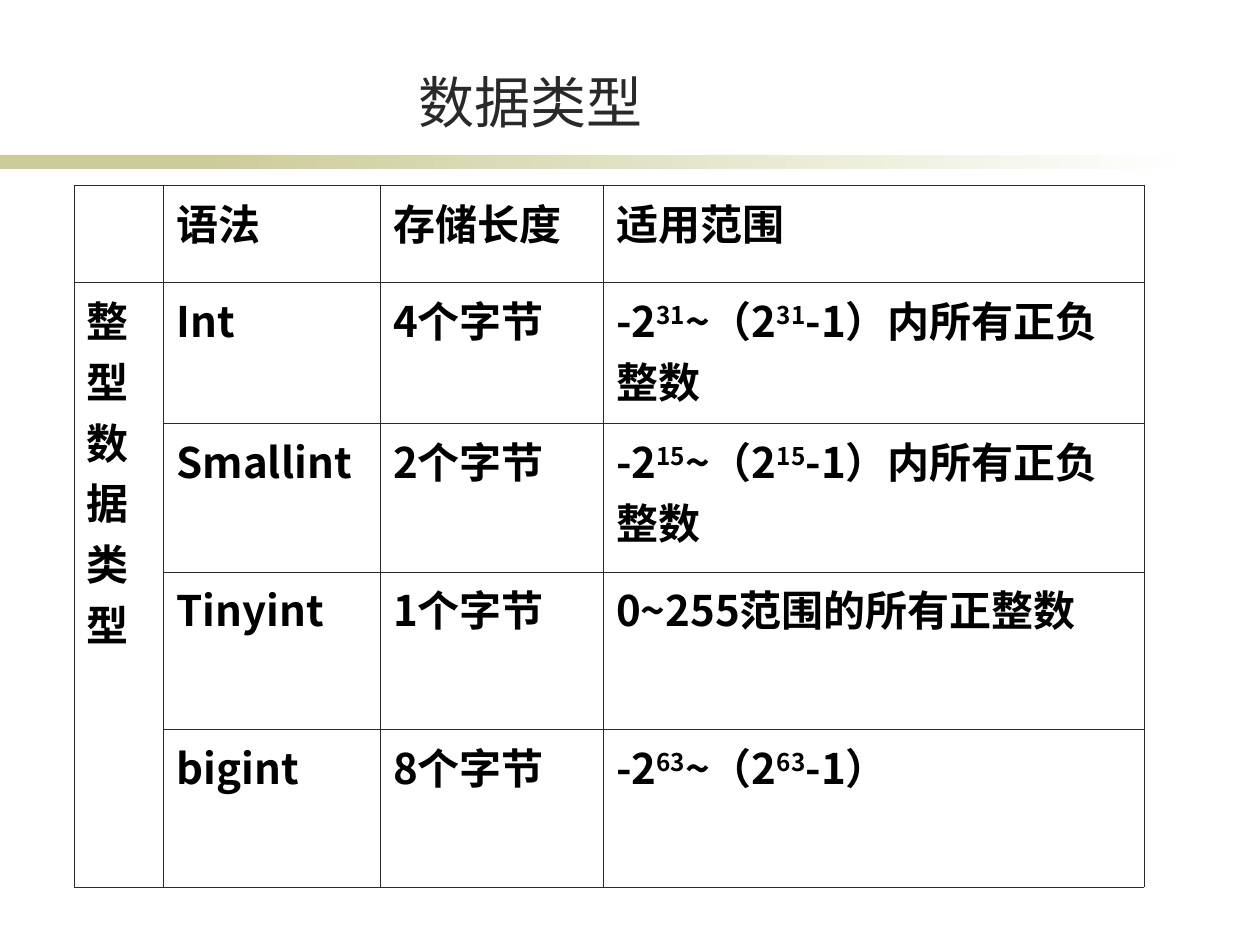
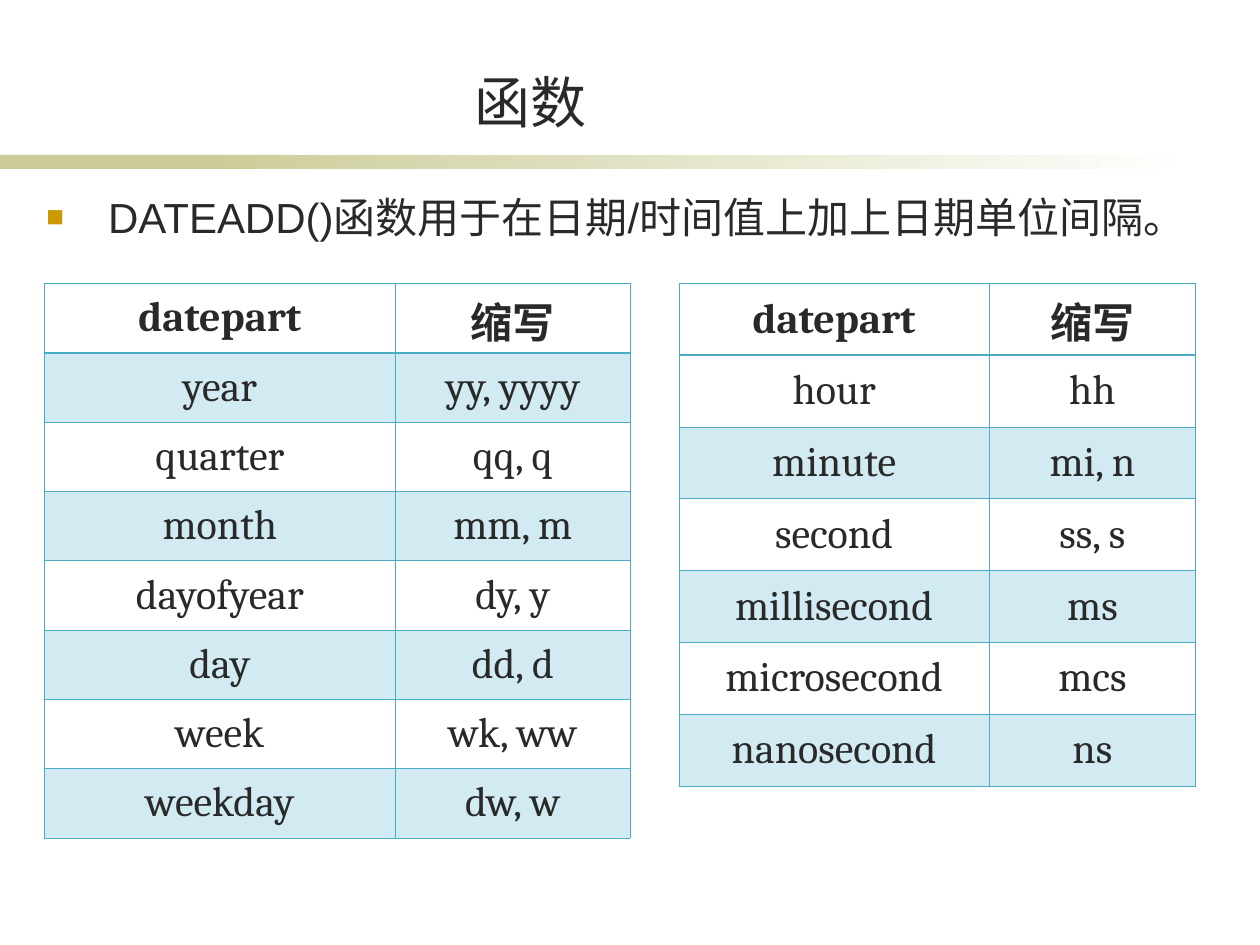
from dataclasses import dataclass

from lxml import etree
from pptx import Presentation
from pptx.dml.color import RGBColor
from pptx.enum import shapes, text
from pptx.oxml import ns
from pptx.util import Inches, Pt

OLIVE = RGBColor(0xCC, 0xCC, 0x99)
WHITE = RGBColor(0xFF, 0xFF, 0xFF)
BLACK = RGBColor(0x00, 0x00, 0x00)
INK = RGBColor(0x29, 0x29, 0x29)
GOLD = RGBColor(0xCC, 0x99, 0x00)
TEAL = RGBColor(0x4B, 0xAC, 0xC6)
PALE_BLUE = RGBColor(0xD2, 0xEA, 0xF1)
CJK_FONT = "Noto Sans CJK SC"
THIN, THICK = 0.45, 1.08


@dataclass(frozen=True)
class TextStyle:
    font: str
    size: float
    color: RGBColor = INK
    bold: bool = False


@dataclass(frozen=True)
class Piece:
    words: str
    raised: bool = False


@dataclass(frozen=True)
class DatepartTable:
    left: float
    widths: tuple[float, float]
    row_height: float
    first_shaded_row: int
    entries: tuple[tuple[str, str], ...]


TITLE = TextStyle("Arial", 32)
BODY = TextStyle("Arial", 24)
TYPE_CELL = TextStyle(CJK_FONT, 24, BLACK, True)
DATEPART_HEADERS = (
    ("datepart", TextStyle("Cambria", 24, bold=True)),
    ("缩写", TextStyle("Calibri", 24, bold=True)),
)
DATEPART_CELL = TextStyle("Cambria", 24)

TYPE_WIDTHS = (0.71, 1.72, 1.77, 4.29)
TYPE_HEIGHTS = (0.77, 1.12, 1.18, 1.25, 1.25)
DATEPART_TABLES = (
    DatepartTable(0.35, (2.79, 1.86), 0.55, 1, (
        ("year", "yy, yyyy"),
        ("quarter", "qq, q"),
        ("month", "mm, m"),
        ("dayofyear", "dy, y"),
        ("day", "dd, d"),
        ("week", "wk, ww"),
        ("weekday", "dw, w"),
    )),
    DatepartTable(5.39, (2.46, 1.64), 0.57, 2, (
        ("hour", "hh"),
        ("minute", "mi, n"),
        ("second", "ss, s"),
        ("millisecond", "ms"),
        ("microsecond", "mcs"),
        ("nanosecond", "ns"),
    )),
)


def plain(words: str) -> list[Piece]:
    return [Piece(words)]


def power_range(exponent: str, ending: str = "") -> list[Piece]:
    power = Piece(exponent, True)
    return [Piece("-2"), power, Piece("~（2"), power, Piece(f"-1）{ending}")]


TYPE_ROWS = (
    ("", "语法", "存储长度", plain("适用范围")),
    ("整型数据类型", "Int", "4个字节", power_range("31", "内所有正负整数")),
    ("", "Smallint", "2个字节", power_range("15", "内所有正负整数")),
    ("", "Tinyint", "1个字节", plain("0~255范围的所有正整数")),
    ("", "bigint", "8个字节", power_range("63")),
)


def add_runs(paragraph, pieces: list[Piece], style: TextStyle) -> None:
    for piece in pieces:
        run = paragraph.add_run()
        run.text = piece.words
        run.font.size = Pt(style.size)
        run.font.bold = style.bold
        run.font.color.rgb = style.color
        run.font.name = style.font
        properties = run.font._element
        etree.SubElement(properties, ns.qn("a:ea"), typeface=CJK_FONT)
        if piece.raised:
            properties.set("baseline", "30000")


def add_text_box(slide, left: float, top: float, width: float, height: float):
    box = slide.shapes.add_textbox(
        Inches(left), Inches(top), Inches(width), Inches(height))
    box.text_frame.word_wrap = True
    return box.text_frame


def add_band(slide, left: float, width: float):
    band = slide.shapes.add_shape(
        shapes.MSO_SHAPE.RECTANGLE,
        Inches(left), Inches(1.23), Inches(width), Inches(0.11))
    band.shadow.inherit = False
    band.line.fill.background()
    return band.fill


def add_titled_slide(presentation, title: str):
    slide = presentation.slides.add_slide(presentation.slide_layouts[6])
    solid = add_band(slide, 0, 2.33)
    solid.solid()
    solid.fore_color.rgb = OLIVE
    fade = add_band(slide, 1.58, 7.92)
    fade.gradient()
    fade.gradient_angle = 0
    for stop, color in zip(fade.gradient_stops, (OLIVE, WHITE)):
        stop.color.rgb = color

    frame = add_text_box(slide, 1.14, 0.44, 6.14, 0.63)
    frame.margin_top = frame.margin_bottom = Inches(0)
    frame.vertical_anchor = text.MSO_ANCHOR.BOTTOM
    paragraph = frame.paragraphs[0]
    paragraph.alignment = text.PP_ALIGN.CENTER
    add_runs(paragraph, plain(title), TITLE)
    return slide


def add_bullet(paragraph) -> None:
    properties = paragraph._p.get_or_add_pPr()
    indent = Inches(0.49)
    properties.set("marL", str(indent))
    properties.set("indent", str(-indent))
    color = etree.SubElement(properties, ns.qn("a:buClr"))
    etree.SubElement(color, ns.qn("a:srgbClr"), val=str(GOLD))
    etree.SubElement(properties, ns.qn("a:buSzPct"), val="70000")
    etree.SubElement(properties, ns.qn("a:buFont"), typeface="Arial")
    etree.SubElement(properties, ns.qn("a:buChar"), char="■")


def add_plain_table(slide, left: float, top: float,
                    widths: tuple[float, ...], heights: tuple[float, ...]):
    table = slide.shapes.add_table(
        len(heights), len(widths), Inches(left), Inches(top),
        Inches(sum(widths)), Inches(sum(heights))).table
    table.first_row = table.horz_banding = False
    for column, width in zip(table.columns, widths):
        column.width = Inches(width)
    for row, height in zip(table.rows, heights):
        row.height = Inches(height)
    return table


def set_borders(cell, color: RGBColor, top: float = THIN,
                bottom: float = THIN) -> None:
    properties = cell._tc.get_or_add_tcPr()
    for side, width in (("L", THIN), ("R", THIN), ("T", top), ("B", bottom)):
        line = etree.SubElement(
            properties, ns.qn(f"a:ln{side}"), w=str(Pt(width)))
        fill = etree.SubElement(line, ns.qn("a:solidFill"))
        etree.SubElement(fill, ns.qn("a:srgbClr"), val=str(color))


def add_type_table(slide) -> None:
    table = add_plain_table(slide, 0.59, 1.47, TYPE_WIDTHS, TYPE_HEIGHTS)
    table.cell(1, 0).merge(table.cell(4, 0))
    for row, (group, syntax, length, scope) in enumerate(TYPE_ROWS):
        contents = (plain(group), plain(syntax), plain(length), scope)
        for column, pieces in enumerate(contents):
            cell = table.cell(row, column)
            set_borders(cell, INK)
            cell.fill.background()
            if pieces[0].words:
                add_runs(cell.text_frame.paragraphs[0], pieces, TYPE_CELL)


def add_datepart_table(slide, content: DatepartTable) -> None:
    rows = [DATEPART_HEADERS]
    rows += [[(word, DATEPART_CELL) for word in entry]
             for entry in content.entries]
    table = add_plain_table(slide, content.left, 2.25, content.widths,
                            (content.row_height,) * len(rows))
    for row, entries in enumerate(rows):
        shaded = row > 0 and (row - content.first_shaded_row) % 2 == 0
        for column, (words, style) in enumerate(entries):
            cell = table.cell(row, column)
            set_borders(cell, TEAL,
                        top=THICK if row == 1 else THIN,
                        bottom=THICK if row == 0 else THIN)
            cell.fill.solid()
            cell.fill.fore_color.rgb = PALE_BLUE if shaded else WHITE
            cell.margin_left = cell.margin_right = Inches(0.07)
            cell.vertical_anchor = text.MSO_ANCHOR.MIDDLE
            paragraph = cell.text_frame.paragraphs[0]
            paragraph.alignment = text.PP_ALIGN.CENTER
            add_runs(paragraph, plain(words), style)


def build_types_slide(presentation) -> None:
    add_type_table(add_titled_slide(presentation, "数据类型"))


def build_functions_slide(presentation) -> None:
    slide = add_titled_slide(presentation, "函数")
    paragraph = add_text_box(slide, 0.27, 1.47, 9.53, 5.12).paragraphs[0]
    add_bullet(paragraph)
    add_runs(paragraph,
             plain("DATEADD()函数用于在日期/时间值上加上日期单位间隔。"), BODY)
    for content in DATEPART_TABLES:
        add_datepart_table(slide, content)


def main() -> None:
    presentation = Presentation()
    presentation.slide_width = Inches(10)
    presentation.slide_height = Inches(7.5)
    build_types_slide(presentation)
    build_functions_slide(presentation)
    presentation.save("out.pptx")


if __name__ == "__main__":
    main()
